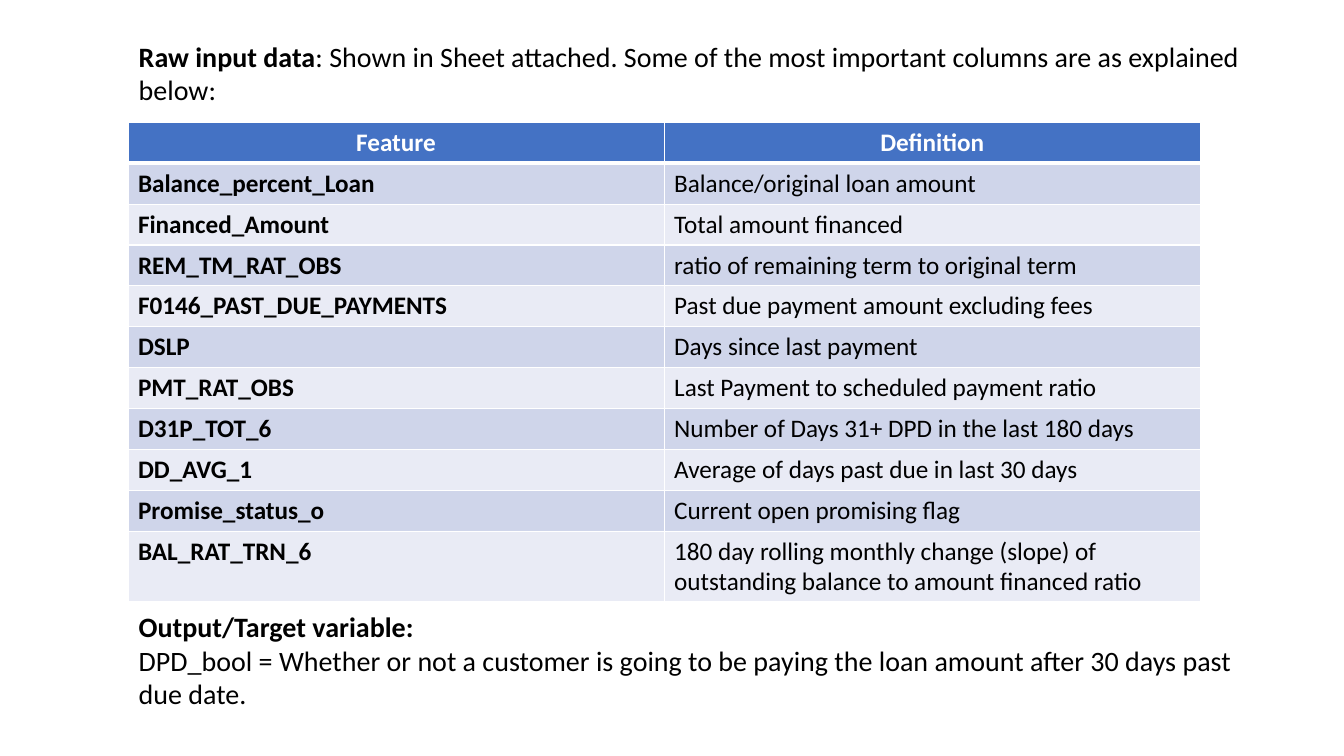
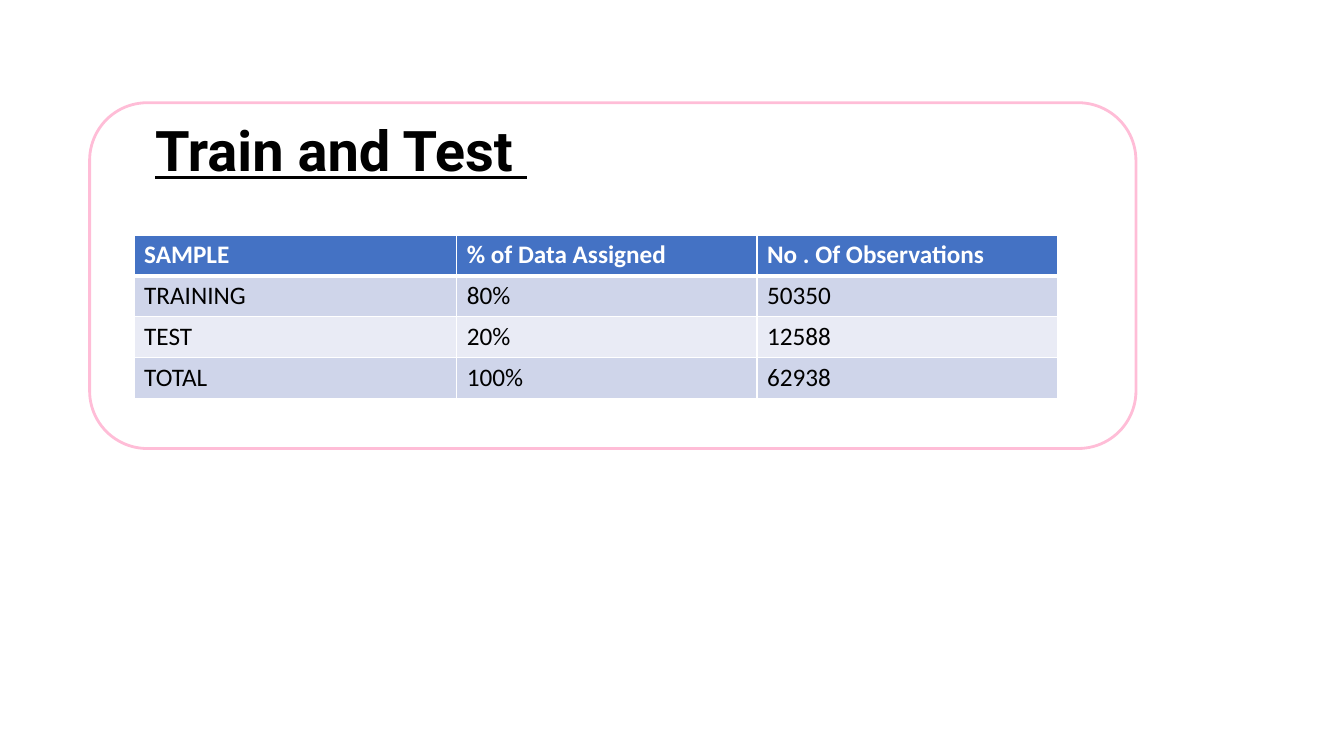
from lxml import etree
from pptx import Presentation
from pptx.dml.color import RGBColor
from pptx.enum import shapes, text
from pptx.oxml import ns
from pptx.util import Pt

BLACK = RGBColor(0x00, 0x00, 0x00)
WHITE = RGBColor(0xFF, 0xFF, 0xFF)
HEADER_BLUE = RGBColor(0x44, 0x72, 0xC4)
BAND_FILLS = (RGBColor(0xCF, 0xD5, 0xEA), RGBColor(0xE9, 0xEB, 0xF5))
PINK = RGBColor(0xFF, 0x00, 0x66)

BODY = {"name": "Calibri", "size": Pt(20)}
CELL = {"name": "Calibri", "size": Pt(18)}
TITLE = {"name": "Roboto", "size": Pt(40), "bold": True, "underline": True}
ROW_HEIGHT = 29.2

FEATURES = [
    ("Feature", "Definition"),
    ("Balance_percent_Loan", "Balance/original loan amount"),
    ("Financed_Amount", "Total amount financed"),
    ("REM_TM_RAT_OBS", "ratio of remaining term to original term"),
    ("F0146_PAST_DUE_PAYMENTS", "Past due payment amount excluding fees"),
    ("DSLP", "Days since last payment"),
    ("PMT_RAT_OBS", "Last Payment to scheduled payment ratio"),
    ("D31P_TOT_6", "Number of Days 31+ DPD in the last 180 days"),
    ("DD_AVG_1", "Average of days past due in last 30 days"),
    ("Promise_status_o", "Current open promising flag"),
    ("BAL_RAT_TRN_6", "180 day rolling monthly change (slope) of "
                      "outstanding balance to amount financed ratio"),
]
SAMPLES = [
    ("SAMPLE", "% of Data Assigned", "No . Of Observations"),
    ("TRAINING ", "80%", "50350"),
    ("TEST ", "20%", "12588"),
    ("TOTAL", "100%", "62938"),
]


def add_span(para, words, style, color=BLACK, **extra):
    span = para.add_run()
    span.text = words
    for name, value in {**style, **extra}.items():
        setattr(span.font, name, value)
    span.font.color.rgb = color


def add_text(page, left, top, width, height, paras, style):
    """Each paragraph is a list of (words, bold) pairs."""
    box = page.shapes.add_textbox(Pt(left), Pt(top), Pt(width), Pt(height))
    frame = box.text_frame
    frame.word_wrap = True
    for index, spans in enumerate(paras):
        para = frame.add_paragraph() if index else frame.paragraphs[0]
        for words, bold in spans:
            add_span(para, words, style, bold=bold)


def set_borders(cell, top, bottom):
    properties = cell._tc.get_or_add_tcPr()
    weights = {"a:lnL": 1, "a:lnR": 1, "a:lnT": top, "a:lnB": bottom}
    for index, (tag, weight) in enumerate(weights.items()):
        line = etree.Element(ns.qn(tag), w=str(Pt(weight)))
        fill = etree.SubElement(line, ns.qn("a:solidFill"))
        etree.SubElement(fill, ns.qn("a:srgbClr"), val=str(WHITE))
        properties.insert(index, line)


def add_table(page, left, top, widths, rows, header_align=None, bold_first=False):
    table = page.shapes.add_table(
        len(rows), len(widths), Pt(left), Pt(top),
        Pt(sum(widths)), Pt(ROW_HEIGHT * len(rows))).table
    for column, width in zip(table.columns, widths):
        column.width = Pt(width)
    for r, row in enumerate(rows):
        table.rows[r].height = Pt(ROW_HEIGHT)
        is_header = r == 0
        for c, words in enumerate(row):
            cell = table.cell(r, c)
            cell.fill.solid()
            cell.fill.fore_color.rgb = HEADER_BLUE if is_header else BAND_FILLS[(r - 1) % 2]
            set_borders(cell, top=3 if r == 1 else 1, bottom=3 if is_header else 1)
            para = cell.text_frame.paragraphs[0]
            if is_header:
                para.alignment = header_align
            add_span(para, words, CELL, WHITE if is_header else BLACK,
                     bold=is_header or (bold_first and c == 0))


def add_frame(page, left, top, width, height):
    """Unfilled rounded outline in see-through pink."""
    frame = page.shapes.add_shape(
        shapes.MSO_SHAPE.ROUNDED_RECTANGLE, Pt(left), Pt(top), Pt(width), Pt(height))
    frame.shadow.inherit = False
    frame.fill.background()
    frame.line.width = Pt(2)
    frame.line.color.rgb = PINK
    color = frame.line._ln.find(".//" + ns.qn("a:srgbClr"))
    etree.SubElement(color, ns.qn("a:alpha"), val="26000")


def build_data_page(page):
    add_text(page, 92, 24.5, 829, 56, [
        [("Raw input data", True),
         (": Shown in Sheet attached. Some of the most important columns "
          "are as explained below:", False)]], BODY)
    add_table(page, 91.4, 87.4, [383, 383], FEATURES,
              header_align=text.PP_ALIGN.CENTER, bold_first=True)
    add_text(page, 92, 432, 829, 80, [
        [("Output/Target variable:", True)],
        [("DPD_bool = Whether or not a customer is going to be paying the "
          "loan amount after 30 days past due date.", False)]], BODY)


def build_split_page(page):
    add_table(page, 95.8, 167.8, [230.4, 214.5, 214.5], SAMPLES)
    add_text(page, 103.7, 79.2, 335, 55.4, [[("Train and Test ", True)]], TITLE)
    add_frame(page, 64, 73.4, 747.4, 247)


def main():
    deck = Presentation()
    deck.slide_width, deck.slide_height = Pt(960), Pt(540)
    for build in (build_data_page, build_split_page):
        build(deck.slides.add_slide(deck.slide_layouts[6]))
    deck.save("out.pptx")


if __name__ == "__main__":
    main()
